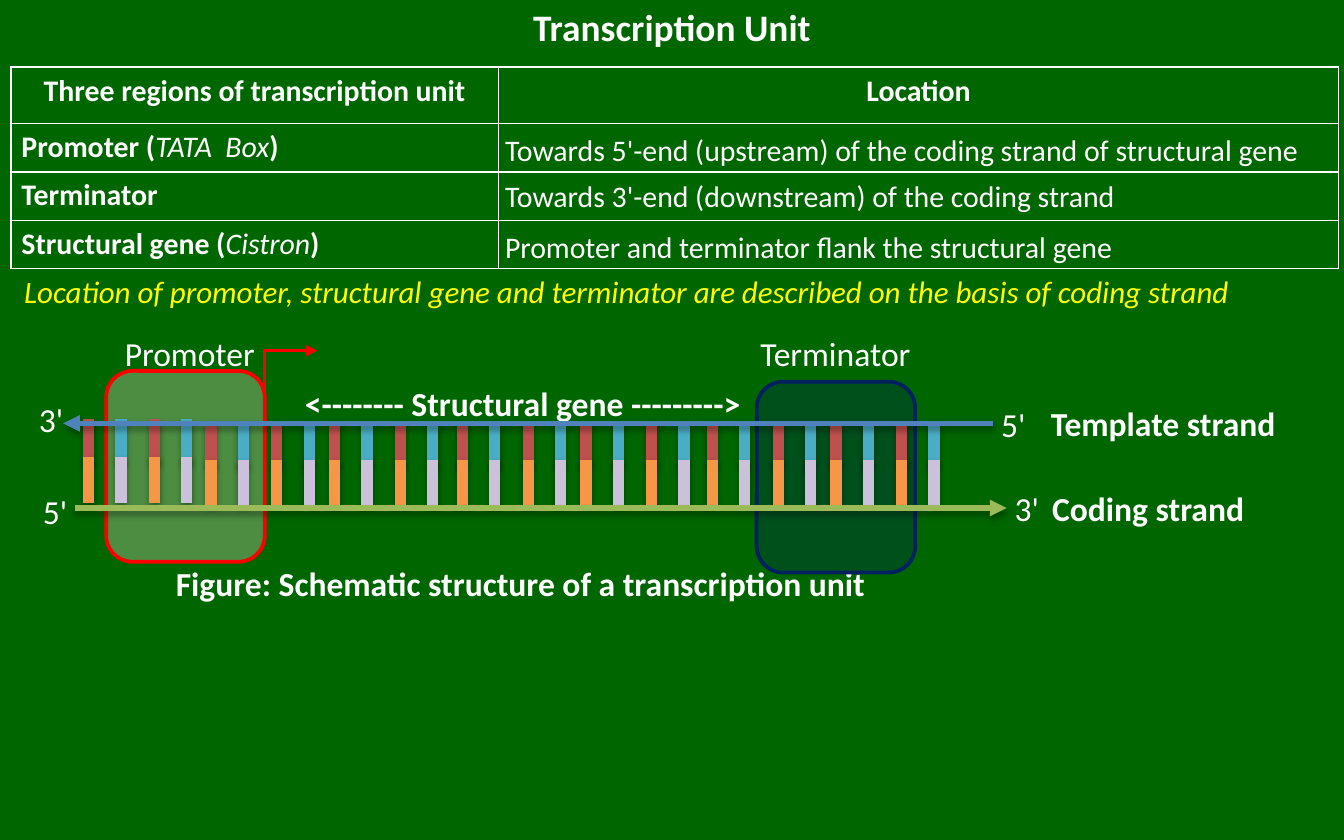
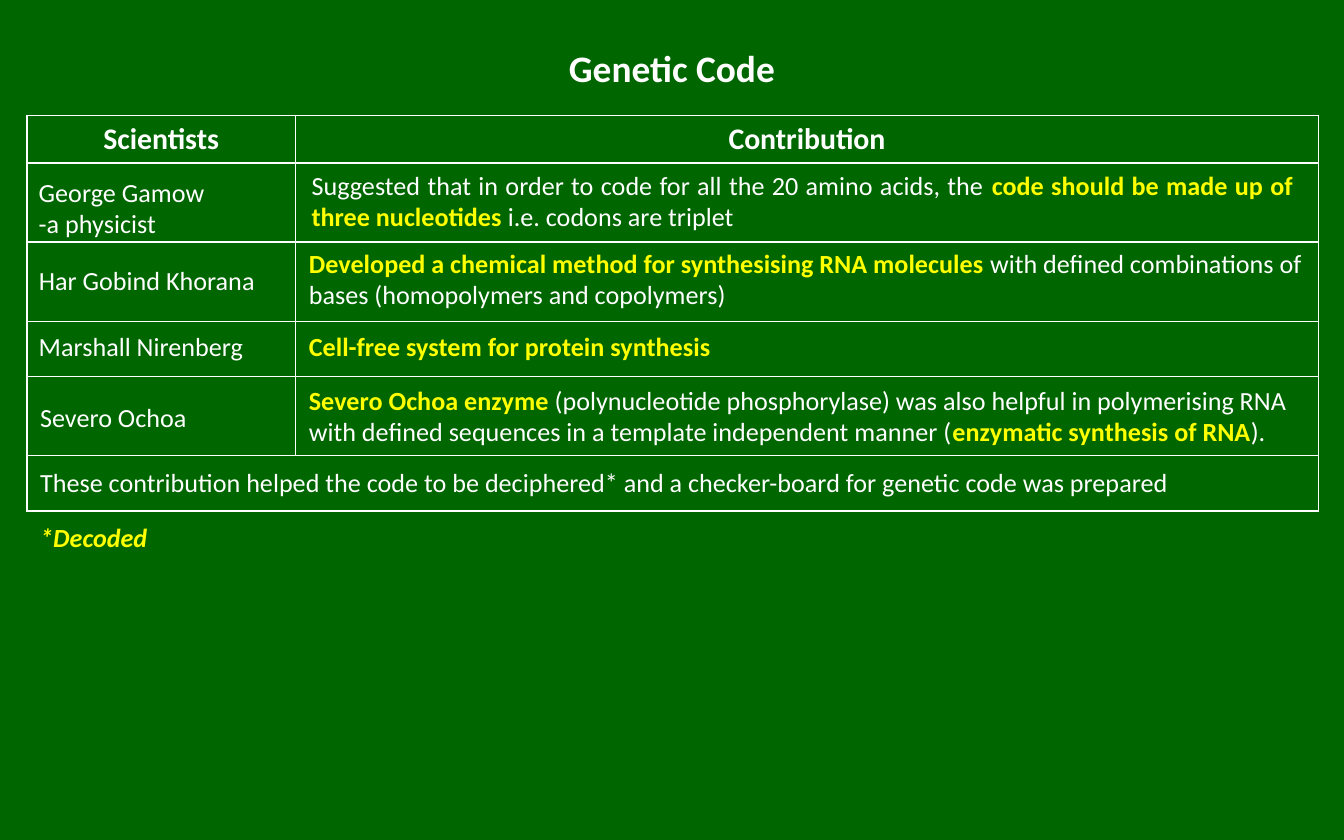
from lxml.etree import SubElement
from pptx import Presentation
from pptx.dml.color import RGBColor
from pptx.enum.shapes import MSO_CONNECTOR, MSO_SHAPE
from pptx.enum.text import MSO_ANCHOR, MSO_AUTO_SIZE, PP_ALIGN
from pptx.oxml.ns import qn
from pptx.util import Pt

EMU_PER_PX = 9144
FONT_NAME = "Calibri"

GREEN = RGBColor(0x00, 0x66, 0x00)
WHITE = RGBColor(0xFF, 0xFF, 0xFF)
YELLOW = RGBColor(0xFF, 0xFF, 0x00)
BLACK = RGBColor(0x00, 0x00, 0x00)
RED = RGBColor(0xFF, 0x00, 0x00)
NAVY = RGBColor(0x00, 0x20, 0x60)
CREAM = RGBColor(0xFD, 0xEA, 0xDA)
BRICK = RGBColor(0xC0, 0x50, 0x4D)
ORANGE = RGBColor(0xF7, 0x96, 0x46)
AQUA = RGBColor(0x4B, 0xAC, 0xC6)
LILAC = RGBColor(0xCC, 0xC1, 0xDA)
BLUE = RGBColor(0x4F, 0x81, 0xBD)
LIME = RGBColor(0x9B, 0xBB, 0x59)

TITLE = {"size": Pt(20), "bold": True}
NOTE = {"size": Pt(16.6), "italic": True, "rgb": YELLOW}
HEADER = {"size": Pt(16), "bold": True}
ANSWER = {"size": Pt(16)}
LABEL = {"size": Pt(18)}
BOLD_LABEL = {"size": Pt(18), "bold": True}
DETAIL = {"size": Pt(14)}
FOOTNOTE = {"size": Pt(14), "bold": True, "italic": True, "rgb": YELLOW}
HIGHLIGHT = {"bold": True, "rgb": YELLOW}
ALIAS = {"bold": False, "italic": True}


def px(value):
    return value * EMU_PER_PX


def add_xml(parent, tag, **attributes):
    return SubElement(parent, qn(tag), {name: str(value) for name, value in attributes.items()})


class Deck:
    def __init__(self, width, height):
        self.presentation = Presentation()
        self.presentation.slide_width = px(width)
        self.presentation.slide_height = px(height)
        background = self.presentation.slide_master.background.fill
        background.solid()
        background.fore_color.rgb = GREEN

    def add_slide(self, layout_index):
        layout = self.presentation.slide_layouts[layout_index]
        self.slide = self.presentation.slides.add_slide(layout)
        self.shapes = self.slide.shapes

    def start_group(self):
        self.shapes = self.slide.shapes.add_group_shape().shapes

    def end_group(self):
        self.shapes = self.slide.shapes

    def add_runs(self, paragraph, content, style, alignment=PP_ALIGN.LEFT):
        paragraph.alignment = alignment
        runs = [(content, {})] if isinstance(content, str) else content
        for text, changes in runs:
            run = paragraph.add_run()
            run.text = text
            values = {"name": FONT_NAME, "rgb": WHITE, **style, **changes}
            for name, value in values.items():
                target = run.font.color if name == "rgb" else run.font
                setattr(target, name, value)

    def placeholder(self, index, box, content, style, alignment, anchor):
        shape = self.slide.placeholders[index]
        shape.left, shape.top, shape.width, shape.height = map(px, box)
        frame = shape.text_frame
        frame.auto_size = MSO_AUTO_SIZE.NONE
        frame.vertical_anchor = anchor
        paragraph = frame.paragraphs[0]
        paragraph.space_before = Pt(0)
        self.add_runs(paragraph, content, style, alignment)
        return paragraph

    def title(self, box, text):
        self.placeholder(0, box, text, TITLE, PP_ALIGN.CENTER, MSO_ANCHOR.MIDDLE)

    def body(self, box, text, style):
        paragraph = self.placeholder(1, box, text, style, PP_ALIGN.LEFT, MSO_ANCHOR.TOP)
        properties = paragraph._p.get_or_add_pPr()
        properties.set("marL", "0")
        properties.set("indent", "0")
        add_xml(properties, "a:buNone")

    def text(self, box, paragraphs, style, wrap=True, alignment=PP_ALIGN.LEFT):
        frame = self.shapes.add_textbox(*map(px, box)).text_frame
        frame.word_wrap = wrap
        frame.auto_size = MSO_AUTO_SIZE.SHAPE_TO_FIT_TEXT
        for index, content in enumerate(paragraphs):
            paragraph = frame.add_paragraph() if index else frame.paragraphs[0]
            self.add_runs(paragraph, content, style, alignment)

    def table(self, left, top, widths, heights, rows):
        frame = self.shapes.add_table(len(heights), len(widths), px(left), px(top),
                                      px(sum(widths)), px(sum(heights)))
        table = frame.table
        table.first_row = table.horz_banding = False
        for column, width in zip(table.columns, widths):
            column.width = px(width)
        for row, height in zip(table.rows, heights):
            row.height = px(height)
        for cell in table.iter_cells():
            self.style_cell(cell)
        for row_index, row in enumerate(rows):
            alignment = PP_ALIGN.LEFT if row_index else PP_ALIGN.CENTER
            for column_index, content in enumerate(row):
                paragraph = table.cell(row_index, column_index).text_frame.paragraphs[0]
                self.add_runs(paragraph, content, HEADER, alignment)
        return table

    def style_cell(self, cell):
        cell.margin_left = cell.margin_right = px(8)
        cell.margin_top = cell.margin_bottom = px(4)
        properties = cell._tc.get_or_add_tcPr()
        for side in ("a:lnL", "a:lnR", "a:lnT", "a:lnB"):
            border = add_xml(properties, side, w=Pt(1))
            add_xml(add_xml(border, "a:solidFill"), "a:srgbClr", val=WHITE)
        cell.fill.background()
        add_xml(cell.text_frame.paragraphs[0]._p, "a:endParaRPr", sz=1200)

    def region(self, box, fill_color, line_color):
        shape = self.shapes.add_shape(MSO_SHAPE.ROUNDED_RECTANGLE, *map(px, box))
        shape.shadow.inherit = False
        shape.fill.solid()
        shape.fill.fore_color.rgb = fill_color
        color = shape._element.spPr.find(qn("a:solidFill")).find(qn("a:srgbClr"))
        add_xml(color, "a:alpha", val=30000)
        shape.line.color.rgb = line_color
        shape.line.width = Pt(2)

    def line(self, start, end, color, width, arrow=False, shadow=True,
             kind=MSO_CONNECTOR.STRAIGHT):
        connector = self.shapes.add_connector(kind, *map(px, start + end))
        connector.line.color.rgb = color
        connector.line.width = Pt(width)
        if arrow:
            add_xml(connector.line._get_or_add_ln(), "a:tailEnd", type="triangle")
        effects = add_xml(connector._element.spPr, "a:effectLst")
        if shadow:
            outer = add_xml(effects, "a:outerShdw", blurRad=40000, dist=23000,
                            dir=5400000, rotWithShape=0)
            add_xml(add_xml(outer, "a:srgbClr", val=BLACK), "a:alpha", val=35000)
        return connector

    def start_arrow(self, start, end):
        connector = self.line(start, end, RED, 1.5, arrow=True, shadow=False,
                              kind=MSO_CONNECTOR.ELBOW)
        geometry = connector._element.spPr.find(qn("a:prstGeom"))
        adjustments = geometry.find(qn("a:avLst"))
        add_xml(adjustments, "a:gd", name="adj1", fmla="val 100")

    def base_pair(self, x, top, upper_color, lower_color):
        self.line((x, top), (x, top + 33), upper_color, 6)
        self.line((x, top + 28), (x, top + 62), lower_color, 6)


def build_transcription_unit(deck):
    deck.add_slide(1)
    deck.title((50, -10, 900, 60), "Transcription Unit")
    deck.body((8, 198, 965, 60),
              "Location of promoter, structural gene and terminator are described "
              "on the basis of coding strand", NOTE)
    deck.table(8, 50, (363, 625), (42, 36, 36, 36), [
        ["Three regions of transcription unit", "Location"],
        [[("Promoter (", {}), ("TATA  Box", ALIAS), (")", {})]],
        ["Terminator"],
        [[("Structural gene (", {}), ("Cistron", ALIAS), (")", {})]],
    ])
    locations = [
        (93, 626, "Towards 5'-end (upstream) of the coding strand of structural gene"),
        (127, 500, "Towards 3'-end (downstream) of the coding strand"),
        (165, 500, "Promoter and terminator flank the structural gene"),
    ]
    for top, width, location in locations:
        deck.text((366, top, width, 37), [location], ANSWER)
    deck.text((121, 414, 549, 40),
              ["Figure: Schematic structure of a transcription unit"], BOLD_LABEL)

    deck.start_group()
    deck.text((83, 243, 118, 40), ["Promoter"], LABEL, wrap=False)
    deck.region((79, 276, 118, 142), CREAM, RED)
    deck.start_arrow((197, 383), (236, 261))

    deck.start_group()
    deck.region((563, 284, 118, 142), NAVY, NAVY)
    deck.text((556, 243, 133, 40), ["Terminator"], LABEL, wrap=False)

    deck.end_group()
    strand_labels = [
        ((217, 280, 347, 40), "<-------- Structural gene --------->"),
        ((773, 358, 164, 40), "Coding strand"),
        ((772, 295, 189, 40), "Template strand"),
    ]
    for box, label in strand_labels:
        deck.text(box, [label], BOLD_LABEL, wrap=False)

    deck.start_group()
    for group_left in (66, 157, 249, 344, 436, 530, 622):
        top = 312 if group_left == 66 else 314
        for pair_left in (group_left, group_left + 49):
            deck.base_pair(pair_left, top, BRICK, ORANGE)
            deck.base_pair(pair_left + 24, top, AQUA, LILAC)
    deck.line((739, 315), (47, 315), BLUE, 3, arrow=True)
    deck.line((56, 378), (749, 378), LIME, 3, arrow=True)
    for left, top, strand_end in [(735, 296, "5'"), (19, 292, "3'"),
                                  (22, 360, "5'"), (745, 358, "3'")]:
        deck.text((left, top, 39, 40), [strand_end], LABEL, wrap=False)


def build_genetic_code(deck):
    deck.add_slide(5)
    deck.title((125, -2, 750, 104), "Genetic Code")
    table = deck.table(20, 86, (200, 761), (35, 59, 59, 41, 59, 41),
                       [["Scientists", "Contribution"]])
    table.cell(5, 0).merge(table.cell(5, 1))
    deck.text((20, 383, 101, 34), ["*Decoded"], FOOTNOTE, wrap=False)
    deck.text((222, 121, 750, 57), [[
        ("Suggested that in order to code for all the 20 amino acids, the ", {}),
        ("code should be made up of three nucleotides", HIGHLIGHT),
        (" i.e. codons are triplet", {}),
    ]], DETAIL, alignment=PP_ALIGN.JUSTIFY)
    deck.text((220, 179, 760, 57), [[
        ("Developed a chemical method for synthesising RNA molecules ", HIGHLIGHT),
        ("with defined combinations of bases (homopolymers and copolymers)", {}),
    ]], DETAIL)
    deck.text((220, 241, 325, 34),
              [[("Cell-free system for protein synthesis", HIGHLIGHT)]], DETAIL, wrap=False)
    deck.text((220, 281, 760, 57), [[
        ("Severo Ochoa enzyme", HIGHLIGHT),
        (" (polynucleotide phosphorylase) was also helpful in polymerising RNA "
         "with defined sequences in a template independent manner (", {}),
        ("enzymatic synthesis of RNA", HIGHLIGHT),
        (").", {}),
    ]], DETAIL)
    deck.text((20, 342, 953, 34),
              ["These contribution helped the code to be deciphered* and a checker-board "
               "for genetic code was prepared"], DETAIL)
    deck.text((19, 126, 190, 57), ["George Gamow", "-a physicist"], DETAIL)
    scientists = [
        ((19, 192, 182, 34), "Har Gobind Khorana"),
        ((19, 241, 174, 34), "Marshall Nirenberg"),
        ((20, 294, 130, 34), "Severo Ochoa"),
    ]
    for box, scientist in scientists:
        deck.text(box, [scientist], DETAIL, wrap=False)


def main():
    deck = Deck(1000, 625)
    build_transcription_unit(deck)
    build_genetic_code(deck)
    deck.presentation.save("out.pptx")


if __name__ == "__main__":
    main()
